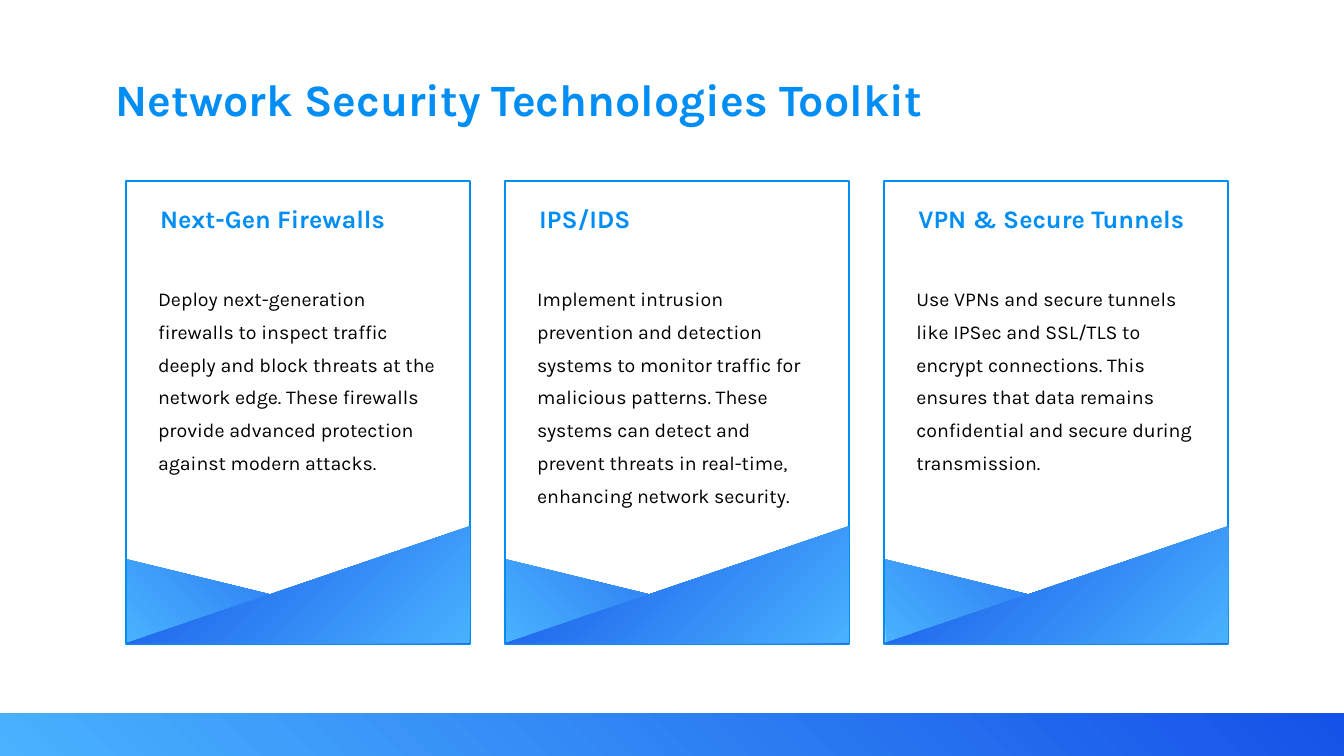
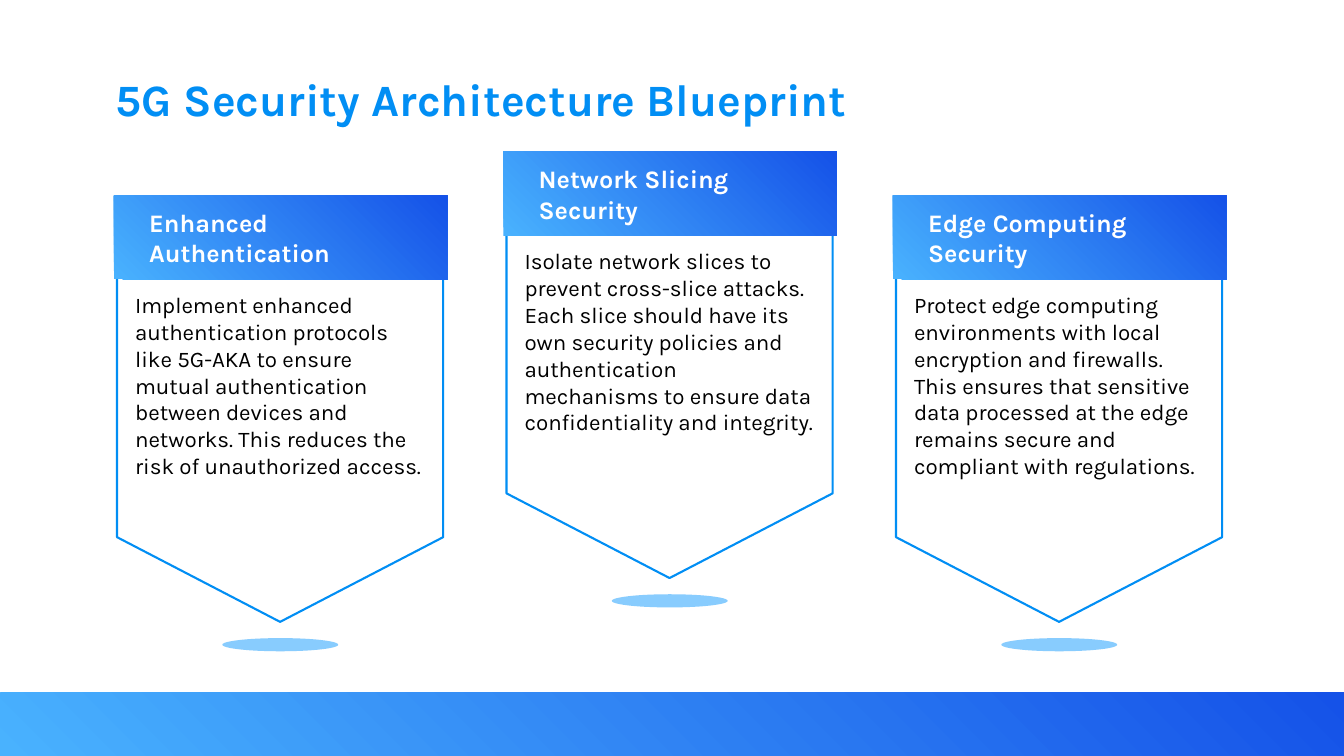
from dataclasses import dataclass

from lxml.etree import SubElement
from pptx import Presentation
from pptx.dml.color import RGBColor
from pptx.enum.shapes import MSO_SHAPE
from pptx.enum.text import MSO_ANCHOR, MSO_AUTO_SIZE
from pptx.oxml.ns import qn
from pptx.shapes.autoshape import Shape
from pptx.slide import Slide
from pptx.util import Pt

COLORS = {
    "accent": "018EF4",
    "light": "49B2FE",
    "deep": "1552E8",
    "white": "FFFFFF",
    "text": "000000",
}
FONT = "Karla"
SLIDE_W, SLIDE_H = 960, 540


@dataclass(frozen=True)
class Box:
    x: float
    y: float
    w: float
    h: float

    def moved(self, dx: float, dy: float = 0) -> "Box":
        return Box(self.x + dx, self.y + dy, self.w, self.h)


@dataclass(frozen=True)
class TextStyle:
    size: float
    color: str
    bold: bool = False
    spacing: float | None = None


@dataclass(frozen=True)
class Topic:
    heading: str
    body: str


TITLE = TextStyle(32, "accent", bold=True)
CARD_HEADING = TextStyle(18, "accent", bold=True)
CARD_BODY = TextStyle(14, "text", spacing=1.4)
BANNER_HEADING = TextStyle(18, "white", bold=True)
BANNER_BODY = TextStyle(16, "text")

TITLE_BOX = Box(75.6, 47.5, 771.8, 39.6)

CARD_PITCH = 270.8
CARD = Box(90, 129.6, 245.5, 330.5)
BACK_FOLD = Box(90.8, 399.6, 244.8, 59.8)
FRONT_FOLD = Box(90.8, 375.9, 244.8, 83.5)
CARD_HEADING_BOX = Box(107.3, 141.8, 208.8, 22.3)
CARD_BODY_BOX = Box(105.8, 194.4, 212.4, 164.9)

BANNER_PITCH = 278.2
BANNER_RISE = 31.3
BANNER_TAB = Box(81.3, 139.8, 238.3, 59.8)
PENNANT = Box(83.6, 172.2, 233, 272)
PENNANT_SHOULDER = 211.5
BANNER_SHADE = Box(158.8, 455.8, 82.8, 9.4)
BANNER_HEADING_BOX = Box(99.5, 144.6, 201.6, 46.8)
BANNER_BODY_BOX = Box(89.4, 204.4, 221.8, 147.6)

TOOLKIT = [
    Topic(
        "Next-Gen Firewalls",
        "Deploy next-generation firewalls to inspect traffic deeply and block "
        "threats at the network edge. These firewalls provide advanced "
        "protection against modern attacks.",
    ),
    Topic(
        "IPS/IDS",
        "Implement intrusion prevention and detection systems to monitor "
        "traffic for malicious patterns. These systems can detect and prevent "
        "threats in real-time, enhancing network security.",
    ),
    Topic(
        "VPN & Secure Tunnels",
        "Use VPNs and secure tunnels like IPSec and SSL/TLS to encrypt "
        "connections. This ensures that data remains confidential and secure "
        "during transmission.",
    ),
]
BLUEPRINT = [
    Topic(
        "Enhanced Authentication",
        "Implement enhanced authentication protocols like 5G-AKA to ensure "
        "mutual authentication between devices and networks. This reduces the "
        "risk of unauthorized access.",
    ),
    Topic(
        "Network Slicing Security",
        "Isolate network slices to prevent cross-slice attacks. Each slice "
        "should have its own security policies and authentication mechanisms "
        "to ensure data confidentiality and integrity.",
    ),
    Topic(
        "Edge Computing Security",
        "Protect edge computing environments with local encryption and "
        "firewalls. This ensures that sensitive data processed at the edge "
        "remains secure and compliant with regulations.",
    ),
]


def rgb(name: str) -> RGBColor:
    return RGBColor.from_string(COLORS[name])


def add_text(s: Slide, box: Box, text: str, style: TextStyle) -> None:
    sp = s.shapes.add_textbox(Pt(box.x), Pt(box.y), Pt(box.w), Pt(box.h))
    tf = sp.text_frame
    tf.word_wrap = True
    tf.auto_size = MSO_AUTO_SIZE.SHAPE_TO_FIT_TEXT
    tf.vertical_anchor = MSO_ANCHOR.TOP
    p = tf.paragraphs[0]
    if style.spacing:
        p.line_spacing = style.spacing
    r = p.add_run()
    r.text = text
    r.font.name = FONT
    r.font.size = Pt(style.size)
    r.font.bold = style.bold
    r.font.color.rgb = rgb(style.color)


def add_plain(s: Slide, kind: MSO_SHAPE, box: Box) -> Shape:
    sp = s.shapes.add_shape(kind, Pt(box.x), Pt(box.y), Pt(box.w), Pt(box.h))
    sp.shadow.inherit = False
    sp.line.fill.background()
    return sp


def add_gradient(s: Slide, kind: MSO_SHAPE, box: Box, flip: bool = False) -> None:
    sp = add_plain(s, kind, box)
    sp.fill.gradient()
    sp.fill.gradient_angle = 45
    for stop, position, color in zip(
        sp.fill.gradient_stops, (0, 1), ("light", "deep")
    ):
        stop.position = position
        stop.color.rgb = rgb(color)
    if flip:
        sp.element.spPr.find(qn("a:xfrm")).set("flipH", "1")


def outline(sp: Shape) -> None:
    sp.shadow.inherit = False
    sp.fill.solid()
    sp.fill.fore_color.rgb = rgb("white")
    sp.line.color.rgb = rgb("accent")
    sp.line.width = Pt(1.5)


def add_pennant(s: Slide, box: Box) -> None:
    right, shoulder = box.x + box.w, box.y + PENNANT_SHOULDER
    builder = s.shapes.build_freeform(Pt(box.x), Pt(box.y))
    corners = [
        (right, box.y),
        (right, shoulder),
        (box.x + box.w / 2, box.y + box.h),
        (box.x, shoulder),
    ]
    builder.add_line_segments([(Pt(x), Pt(y)) for x, y in corners], close=True)
    outline(builder.convert_to_shape())


def add_shade(s: Slide, box: Box) -> None:
    sp = add_plain(s, MSO_SHAPE.OVAL, box)
    sp.fill.solid()
    sp.fill.fore_color.rgb = rgb("light")
    color = sp.element.spPr.find(qn("a:solidFill")).find(qn("a:srgbClr"))
    SubElement(color, qn("a:alpha")).set("val", "65000")


def add_card(s: Slide, topic: Topic, dx: float) -> None:
    outline(add_plain(s, MSO_SHAPE.RECTANGLE, CARD.moved(dx)))
    add_gradient(s, MSO_SHAPE.RIGHT_TRIANGLE, BACK_FOLD.moved(dx))
    add_gradient(s, MSO_SHAPE.RIGHT_TRIANGLE, FRONT_FOLD.moved(dx), flip=True)
    add_text(s, CARD_HEADING_BOX.moved(dx), topic.heading, CARD_HEADING)
    add_text(s, CARD_BODY_BOX.moved(dx), topic.body, CARD_BODY)


def add_banner(s: Slide, topic: Topic, dx: float, dy: float) -> None:
    add_pennant(s, PENNANT.moved(dx, dy))
    add_gradient(s, MSO_SHAPE.RECTANGLE, BANNER_TAB.moved(dx, dy))
    add_shade(s, BANNER_SHADE.moved(dx, dy))
    add_text(s, BANNER_HEADING_BOX.moved(dx, dy), topic.heading, BANNER_HEADING)
    add_text(s, BANNER_BODY_BOX.moved(dx, dy), topic.body, BANNER_BODY)


def add_base(prs: Presentation, title: str, band_height: float) -> Slide:
    s = prs.slides.add_slide(prs.slide_layouts[6])
    s.background.fill.solid()
    s.background.fill.fore_color.rgb = rgb("white")
    band = Box(0, SLIDE_H - band_height, SLIDE_W, band_height)
    add_gradient(s, MSO_SHAPE.RECTANGLE, band)
    add_text(s, TITLE_BOX, title, TITLE)
    return s


def main() -> None:
    prs = Presentation()
    prs.slide_width, prs.slide_height = Pt(SLIDE_W), Pt(SLIDE_H)

    s = add_base(prs, "Network Security Technologies Toolkit", 30.5)
    for i, topic in enumerate(TOOLKIT):
        add_card(s, topic, i * CARD_PITCH)

    s = add_base(prs, "5G Security Architecture Blueprint", 45)
    for i, topic in enumerate(BLUEPRINT):
        add_banner(s, topic, i * BANNER_PITCH, -BANNER_RISE * (i % 2))

    prs.save("out.pptx")


if __name__ == "__main__":
    main()
